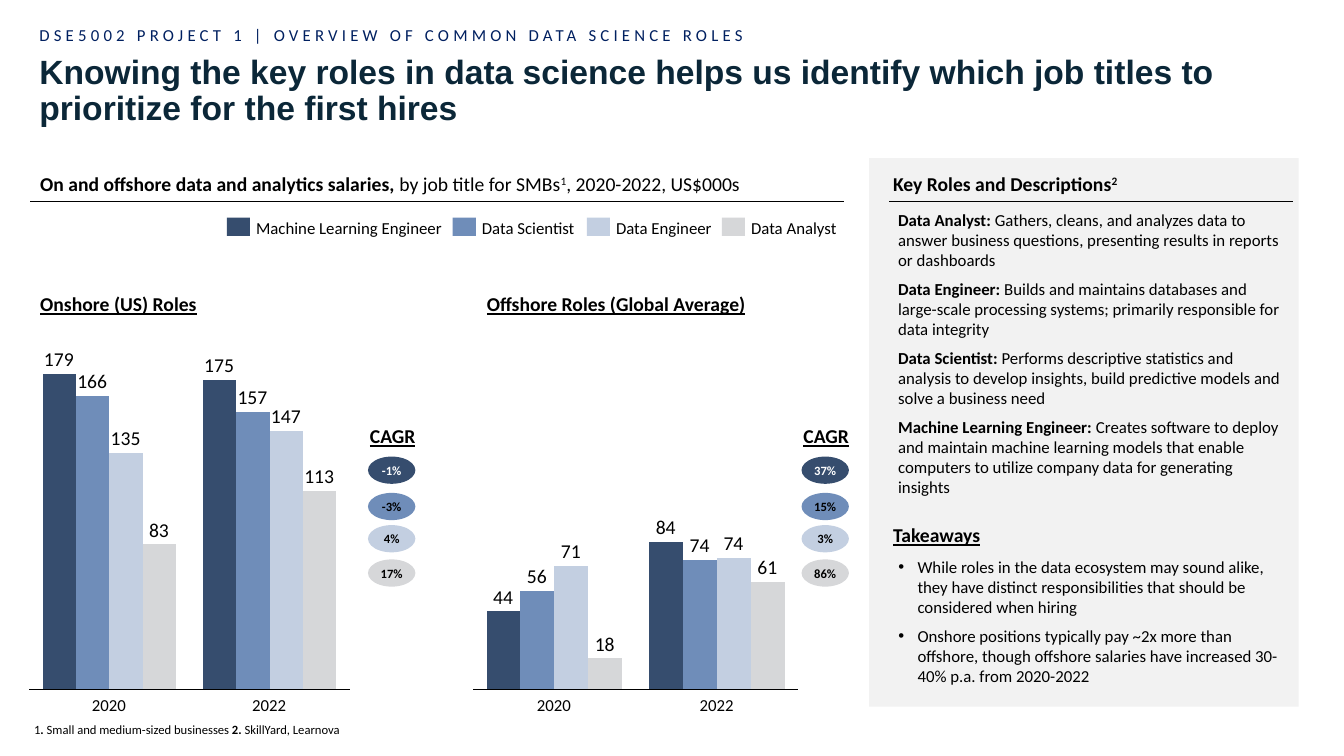
from lxml import etree
from pptx import Presentation
from pptx.chart.data import CategoryChartData
from pptx.dml.color import RGBColor
from pptx.enum.chart import XL_CHART_TYPE, XL_TICK_LABEL_POSITION, XL_TICK_MARK
from pptx.enum.shapes import MSO_CONNECTOR, MSO_SHAPE
from pptx.enum.text import MSO_ANCHOR, MSO_AUTO_SIZE, PP_ALIGN
from pptx.oxml import parse_xml
from pptx.oxml.ns import nsdecls, qn
from pptx.util import Inches, Pt

COLUMNS = XL_CHART_TYPE.COLUMN_CLUSTERED
NO_LABELS, NO_TICKS = XL_TICK_LABEL_POSITION.NONE, XL_TICK_MARK.NONE
RECTANGLE, OVAL, STRAIGHT = MSO_SHAPE.RECTANGLE, MSO_SHAPE.OVAL, MSO_CONNECTOR.STRAIGHT
TOP, MIDDLE, BOTTOM = MSO_ANCHOR.TOP, MSO_ANCHOR.MIDDLE, MSO_ANCHOR.BOTTOM
LEFT, CENTER = PP_ALIGN.LEFT, PP_ALIGN.CENTER
NO_FIT = MSO_AUTO_SIZE.NONE

BLACK = RGBColor(0x00, 0x00, 0x00)
WHITE = RGBColor(0xFF, 0xFF, 0xFF)
NAVY = RGBColor(0x00, 0x20, 0x60)
TITLE_INK = RGBColor(0x0B, 0x27, 0x38)
PANEL_GREY = RGBColor(0xF2, 0xF2, 0xF2)
ROLE_COLORS = [RGBColor(0x36, 0x4D, 0x6E), RGBColor(0x6F, 0x8D, 0xB9),
               RGBColor(0xC3, 0xCF, 0xE1), RGBColor(0xD6, 0xD7, 0xD9)]

YEARS = ["2020", "2022"]
GAP_WIDTH = 80
CHART_TOP, CHART_HEIGHT = 3.62, 3.31
PLOT_INSET, PLOT_SIZE = 0.027, 0.946
PILL_TOPS = [4.53, 4.89, 5.21, 5.55]

# Swatch left, role and label width of each legend entry
LEGEND = [(2.25, "Machine Learning Engineer", 1.84), (4.49, "Data Scientist", 0.92),
          (5.82, "Data Engineer", 0.95), (7.16, "Data Analyst", 0.85)]

# Bars are indexed to the highest salary in each region; salaries label them
REGIONS = [
    dict(title="Onshore (US) Roles", title_left=0.3, left=0.2, width=3.36,
         axis_max=100, cagr_left=3.57, pill_left=3.65,
         index=[(100, 98), (93, 88), (75, 82), (46, 63)],
         salaries=[(179, 175), (166, 157), (135, 147), (83, 113)],
         cagr=["-1%", "-3%", "4%", "17%"]),
    dict(title="Offshore Roles (Global Average)", title_left=4.73, left=4.6, width=3.41,
         axis_max=214, cagr_left=7.87, pill_left=7.95,
         index=[(53, 100), (67, 88), (84, 89), (21, 73)],
         salaries=[(44, 84), (56, 74), (71, 74), (18, 61)],
         cagr=["37%", "15%", "3%", "86%"]),
]

ROLES = [
    ("Data Analyst:", " Gathers, cleans, and analyzes data to answer business questions, "
     "presenting results in reports or dashboards"),
    ("Data Engineer:", " Builds and maintains databases and large-scale processing systems; "
     "primarily responsible for data integrity"),
    ("Data Scientist: ", "Performs descriptive statistics and analysis to develop insights, "
     "build predictive models and solve a business need"),
    ("Machine Learning Engineer: ", "Creates software to deploy and maintain machine learning "
     "models that enable computers to utilize company data for generating insights"),
]
TAKEAWAYS = [
    "While roles in the data ecosystem may sound alike, they have distinct responsibilities "
    "that should be considered when hiring",
    "Onshore positions typically pay ~2x more than offshore, though offshore salaries have "
    "increased 30-40% p.a. from 2020-2022",
]


def write(para, text, size=12, color=BLACK, bold=False, underline=False,
          font="Calibri", **attributes):
    """Add one formatted span; extra attributes are spc (spacing) or baseline."""
    span = para.add_run()
    span.text = text
    span.font.name, span.font.size = font, Pt(size)
    span.font.bold, span.font.underline = bold, underline
    span.font.color.rgb = color
    for name, value in attributes.items():
        span.font._element.set(name, str(value))


def place(shape, left, top, width, height):
    shape.left, shape.top = Inches(left), Inches(top)
    shape.width, shape.height = Inches(width), Inches(height)


def set_frame(frame, anchor=TOP, inset=None, wrap=True):
    frame.word_wrap, frame.auto_size, frame.vertical_anchor = wrap, NO_FIT, anchor
    if inset is not None:
        frame.margin_left = frame.margin_right = Inches(inset)
        frame.margin_top = frame.margin_bottom = 0


def set_para(para, align=LEFT, line=1.0, before=0, after=0):
    para.alignment, para.line_spacing = align, line
    para.space_before, para.space_after = Pt(before), Pt(after)


def add_text(page, bounds, spans, align=LEFT, line=1.0, **frame_format):
    """Add a one-paragraph text box from (text, format) pairs."""
    box = page.shapes.add_textbox(*map(Inches, bounds))
    set_frame(box.text_frame, **frame_format)
    para = box.text_frame.paragraphs[0]
    set_para(para, align, line)
    for text, style in spans:
        write(para, text, **style)
    return box


def add_heading(page, bounds, text):
    add_text(page, bounds, [(text, dict(size=14, bold=True, underline=True))])


def add_block(page, kind, bounds, color):
    shape = page.shapes.add_shape(kind, *map(Inches, bounds))
    shape.shadow.inherit = False
    shape.fill.solid()
    shape.fill.fore_color.rgb = color
    shape.line.fill.background()
    return shape


def add_rule(page, left, right, top):
    rule = page.shapes.add_connector(STRAIGHT, *map(Inches, (left, top, right, top)))
    rule.line.color.rgb, rule.line.width = BLACK, Pt(0.5)
    etree.SubElement(rule._element.spPr, qn("a:effectLst"))


def set_bullet(para, symbol=None, indent=0.0):
    properties = para._p.get_or_add_pPr()
    properties.set("marL", str(Inches(indent)))
    properties.set("indent", str(-Inches(indent)))
    bullet = etree.SubElement(properties, qn("a:buChar" if symbol else "a:buNone"))
    if symbol:
        bullet.set("char", symbol)


def add_salary_chart(page, region):
    data = CategoryChartData()
    data.categories = ["1", "2"]
    for number, values in enumerate(region["index"], 1):
        data.add_series(f"Series {number}", values)
    bounds = (region["left"], CHART_TOP, region["width"], CHART_HEIGHT)
    chart = page.shapes.add_chart(COLUMNS, *map(Inches, bounds), data).chart
    chart.has_legend = chart.has_title = False
    chart.font.name, chart.font.size, chart.font.color.rgb = "Calibri", Pt(10), BLACK
    values, years = chart.value_axis, chart.category_axis
    values.minimum_scale, values.maximum_scale = 0, region["axis_max"]
    values.has_major_gridlines = values.visible = False
    years.tick_label_position, years.major_tick_mark = NO_LABELS, NO_TICKS
    years.format.line.color.rgb, years.format.line.width = BLACK, Pt(0.75)
    plot = chart.plots[0]
    plot.gap_width, plot.overlap, plot.vary_by_categories = GAP_WIDTH, 0, False
    for series, color in zip(plot.series, ROLE_COLORS):
        series.format.fill.solid()
        series.format.fill.fore_color.rgb = color
    # Fixed inner plot area, so that labels can be placed by rule
    area = chart._chartSpace.chart.plotArea
    for old in area.findall(qn("c:layout")):
        area.remove(old)
    sizes = dict(x=PLOT_INSET, y=PLOT_INSET, w=PLOT_SIZE, h=PLOT_SIZE)
    modes = '<c:layoutTarget val="inner"/><c:xMode val="edge"/><c:yMode val="edge"/>'
    extents = "".join(f'<c:{name} val="{size}"/>' for name, size in sizes.items())
    area.insert(0, parse_xml(f'<c:layout {nsdecls("c")}><c:manualLayout>{modes}{extents}'
                             '</c:manualLayout></c:layout>'))


def add_chart_labels(page, region):
    plot_left = region["left"] + PLOT_INSET * region["width"]
    year_width = PLOT_SIZE * region["width"] / len(YEARS)
    bar_width = year_width / (len(ROLE_COLORS) + GAP_WIDTH / 100)
    plot_height = PLOT_SIZE * CHART_HEIGHT
    baseline = CHART_TOP + PLOT_INSET * CHART_HEIGHT + plot_height
    for column, year in enumerate(YEARS):
        year_left = plot_left + column * year_width
        add_text(page, (year_left + year_width / 2 - 0.18, 6.89, 0.35, 0.2),
                 [(year, {})], align=CENTER, inset=0, wrap=False)
        for row, salaries in enumerate(region["salaries"]):
            center = year_left + (GAP_WIDTH / 200 + row + 0.5) * bar_width
            bar_top = baseline - plot_height * region["index"][row][column] / region["axis_max"]
            add_text(page, (center - 0.18, bar_top - 0.24, 0.35, 0.21),
                     [(str(salaries[column]), dict(size=14))], align=CENTER, line=0.9,
                     anchor=BOTTOM, inset=0.03, wrap=False)


def add_cagr(page, region):
    add_heading(page, (region["cagr_left"], 4.16, 0.71, 0.34), "CAGR")
    for top, rate, color in zip(PILL_TOPS, region["cagr"], ROLE_COLORS):
        pill = add_block(page, OVAL, (region["pill_left"], top, 0.47, 0.27), color)
        set_frame(pill.text_frame, anchor=MIDDLE, inset=0, wrap=False)
        para = pill.text_frame.paragraphs[0]
        set_para(para, CENTER)
        write(para, rate, size=9, bold=True, color=WHITE if color == ROLE_COLORS[0] else BLACK)


def add_titles(title, eyebrow):
    place(eyebrow, 0.29, 0.15, 13.0, 0.35)
    set_frame(eyebrow.text_frame, anchor=BOTTOM)
    para = eyebrow.text_frame.paragraphs[0]
    set_para(para, line=0.9)
    set_bullet(para)
    write(para, "DSE5002 PROJECT 1 | OVERVIEW OF COMMON DATA SCIENCE ROLES", color=NAVY, spc=300)
    place(title, 0.29, 0.5, 12.73, 0.86)
    set_frame(title.text_frame)
    set_para(title.text_frame.paragraphs[0], line=0.9)
    write(title.text_frame.paragraphs[0], "Knowing the key roles in data science helps us identify "
          "which job titles to prioritize for the first hires",
          size=24, color=TITLE_INK, bold=True, font="Arial")


def add_side_panel(page, takeaway_list):
    strong = dict(size=14, bold=True)
    add_rule(page, 8.82, 12.82, 2)
    add_text(page, (8.76, 1.66, 2.87, 0.34),
             [("Key Roles and Descriptions", strong), ("2", dict(strong, baseline=30000))])
    frame = add_text(page, (8.81, 2.03, 4, 2.98), []).text_frame
    for number, (role, description) in enumerate(ROLES):
        para = frame.add_paragraph() if number else frame.paragraphs[0]
        set_para(para, after=6)
        write(para, role, bold=True)
        write(para, description)
    add_heading(page, (8.76, 5.14, 2.87, 0.34), "Takeaways")
    place(takeaway_list, 8.81, 5.47, 4.01, 1.4)
    frame = takeaway_list.text_frame
    set_frame(frame)
    for number, takeaway in enumerate(TAKEAWAYS):
        para = frame.add_paragraph() if number else frame.paragraphs[0]
        set_para(para, after=6)
        set_bullet(para, "•", 0.19)
        write(para, takeaway)


def main():
    deck = Presentation()
    deck.slide_width, deck.slide_height = Inches(13.33), Inches(7.5)
    page = deck.slides.add_slide(deck.slide_layouts[3])
    title, eyebrow, takeaway_list = page.placeholders
    # Grey panel sits behind the takeaway list
    panel = add_block(page, RECTANGLE, (8.62, 1.57, 4.26, 5.44), PANEL_GREY)
    title._element.addprevious(panel._element)
    add_titles(title, eyebrow)
    add_side_panel(page, takeaway_list)
    # Salary section heading and legend
    add_rule(page, 0.3, 8.37, 2)
    add_text(page, (0.3, 1.66, 8.07, 0.34), [
        ("On and offshore data and analytics salaries, ", dict(size=14, bold=True)),
        ("by job title for SMBs", dict(size=14)), ("1", dict(size=14, baseline=30000)),
        (", 2020-2022, US$000s", dict(size=14))])
    for (left, role, width), color in zip(LEGEND, ROLE_COLORS):
        add_block(page, RECTANGLE, (left, 2.16, 0.23, 0.18), color)
        add_text(page, (left + 0.29, 2.16, width, 0.2), [(role, {})],
                 anchor=MIDDLE, inset=0, wrap=False)
    # Regional charts
    for region in REGIONS:
        add_heading(page, (region["title_left"], 2.85, 3.02, 0.34), region["title"])
        add_salary_chart(page, region)
        add_chart_labels(page, region)
        add_cagr(page, region)
    # Footnotes
    note, mark = dict(size=9), dict(size=9, bold=True)
    add_text(page, (0.24, 7.11, 3.96, 0.25), [
        ("1", note), (". ", mark), ("Small and medium-sized businesses ", note),
        ("2. ", mark), ("SkillYard, Learnova", note)])
    deck.save("out.pptx")


if __name__ == "__main__":
    main()
